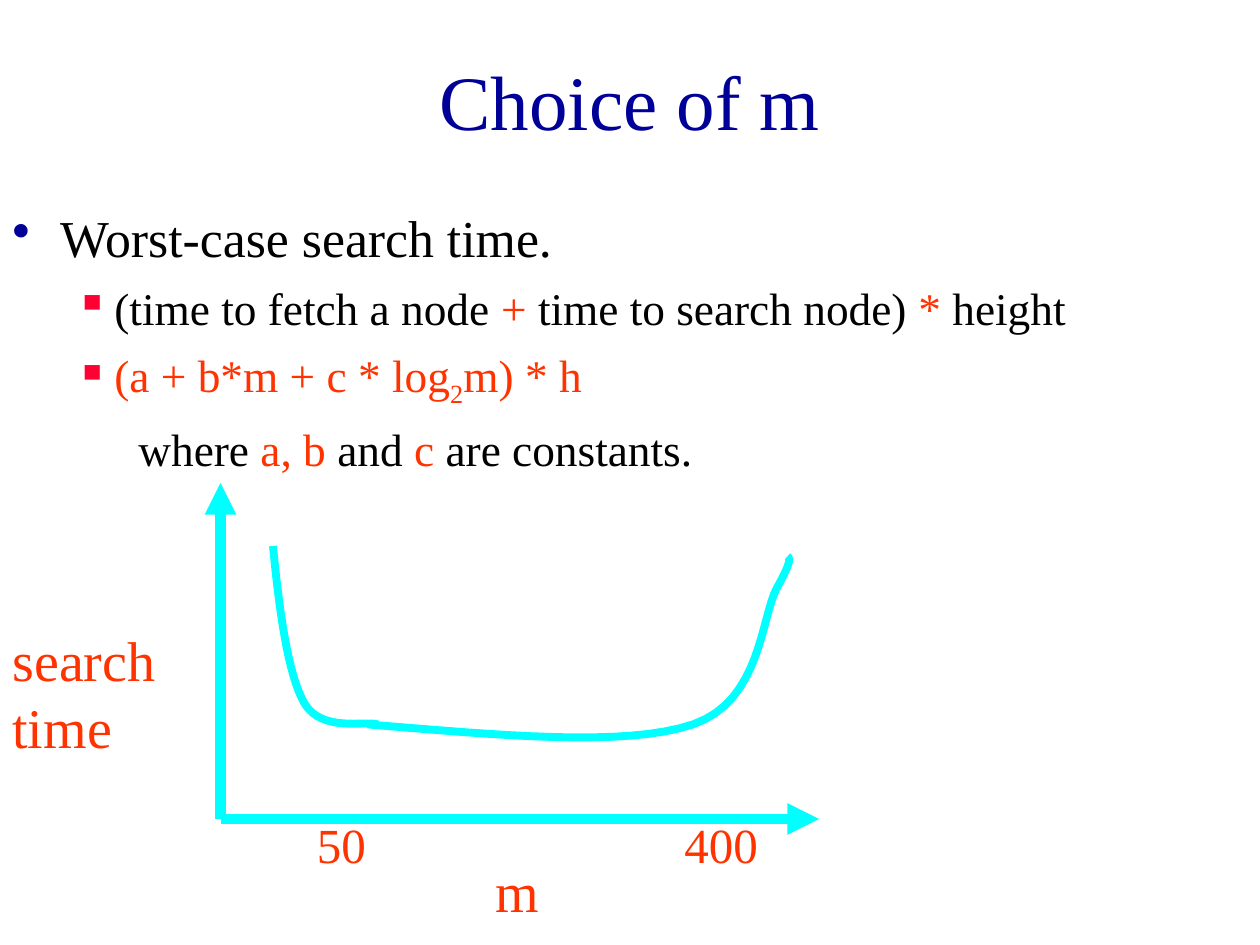
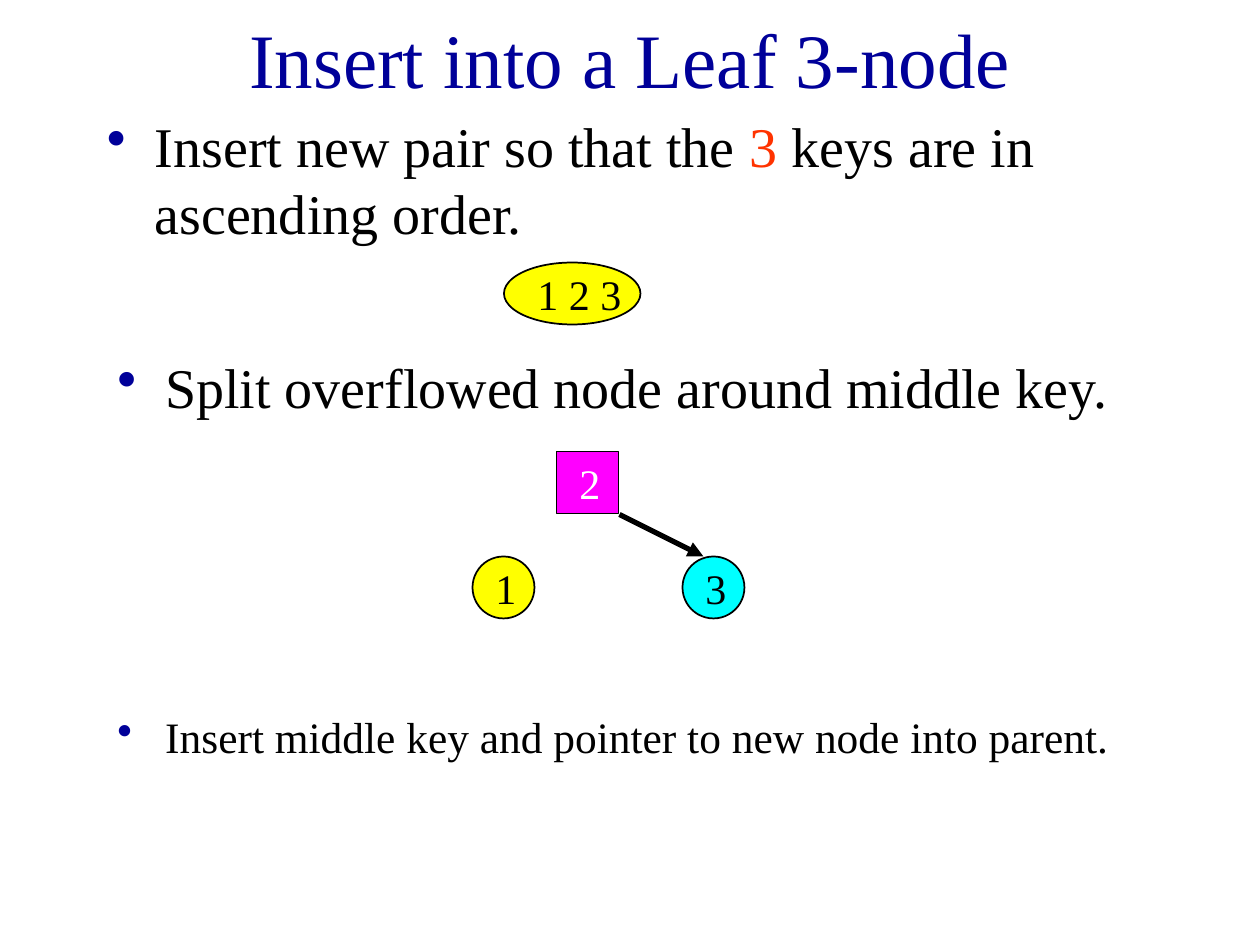
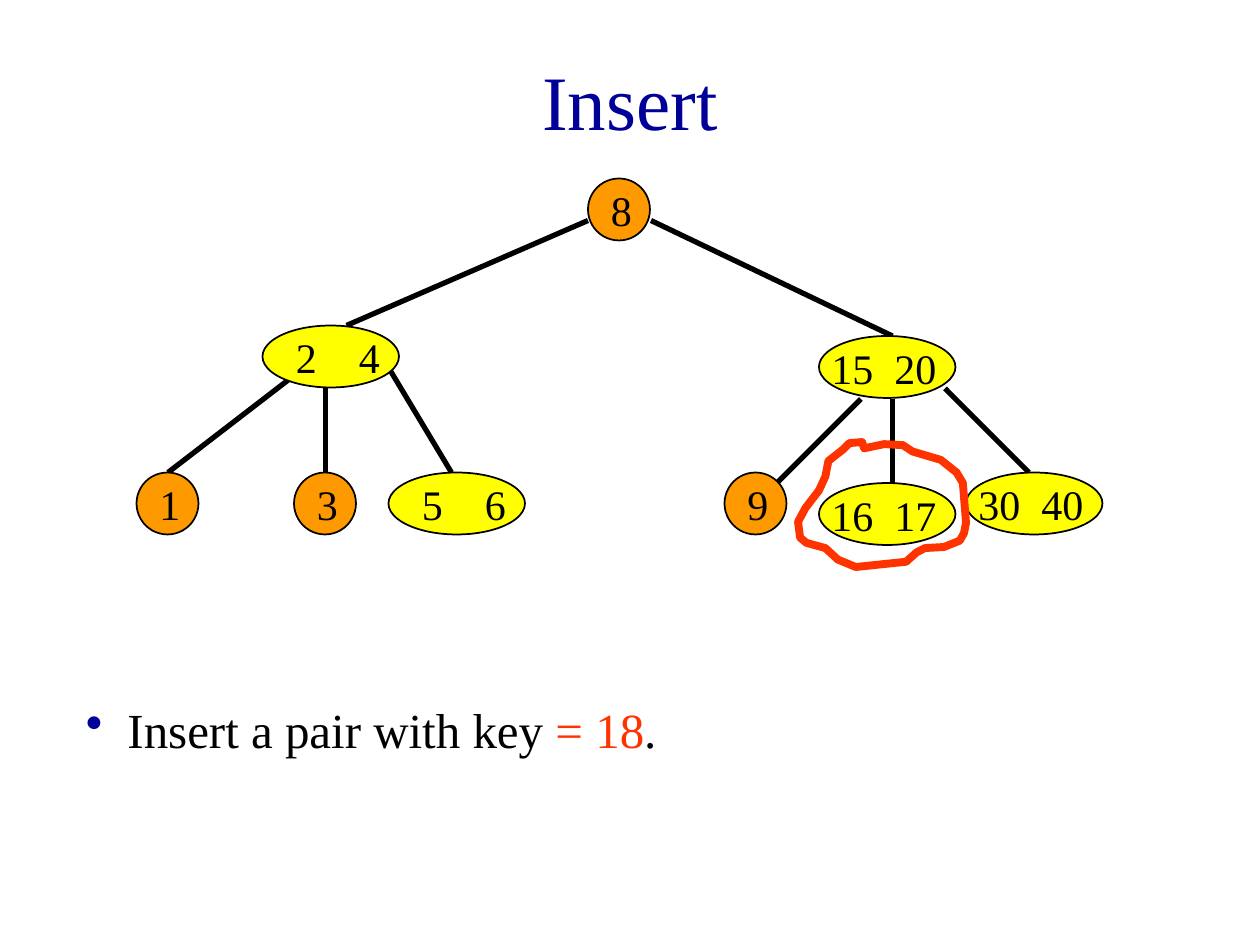
from dataclasses import dataclass

from lxml import etree
from pptx import Presentation
from pptx import util as u
from pptx.dml.color import RGBColor
from pptx.enum import shapes, text
from pptx.oxml import ns


@dataclass(frozen=True)
class Theme:
    font: str = "Times New Roman"
    title: str = "000099"
    ink: str = "000000"
    accent: str = "FF3300"
    square_bullet: str = "FF0033"
    cyan: str = "00FFFF"
    yellow: str = "FFFF00"
    orange: str = "FF9900"
    magenta: str = "FF00FF"
    white: str = "FFFFFF"
    title_size: float = 44
    large: float = 32
    medium: float = 28
    key_size: float = 24
    outline: float = 1
    edge: float = 3
    curve: float = 4.5
    axis: float = 6


THEME = Theme()

# The slide is a grid of 120 columns by 90 rows
COLUMNS, ROWS = 120, 90
CELL = u.Inches(10) // COLUMNS
NODE = 5.9
WIDE_NODE = 13


@dataclass(frozen=True)
class Box:
    left: float
    top: float
    width: float
    height: float

    def inner(self, left, top, width, height):
        return Box(self.left + left, self.top + top, width, height)

    def point(self, column, row):
        return round((self.left + column) * CELL), round((self.top + row) * CELL)

    def frame(self):
        return (*self.point(0, 0), round(self.width * CELL), round(self.height * CELL))


# Level formats: left margin, first-line offset, space before, bullet, colour
LEVELS = {
    "plain": (0, 0, 0, None, None),
    "dot": (0.38, -0.38, 8, "•", THEME.title),
    "close dot": (0.33, -0.33, 8, "•", THEME.title),
    "square": (0.81, -0.31, 7, "▪", THEME.square_bullet),
    "note": (1.25, -0.25, 7, None, None),
}
DEPTHS = {"square": 1, "note": 2}


def apply(target, values):
    for name, value in values.items():
        setattr(target, name, value)


def add_xml(parent, tag, **attributes):
    return etree.SubElement(parent, ns.qn(tag), **attributes)


def format_level(para, level, first):
    margin, offset, space, bullet, colour = LEVELS[level]
    para.level = DEPTHS.get(level, 0)
    properties = para._p.get_or_add_pPr()
    properties.set("marL", str(u.Inches(margin)))
    properties.set("indent", str(u.Inches(offset)))
    if not first:
        para.space_before = u.Pt(space)
    if bullet:
        add_xml(add_xml(properties, "a:buClr"), "a:srgbClr", val=colour)
        add_xml(properties, "a:buChar", char=bullet)
    else:
        add_xml(properties, "a:buNone")


def add_text(page, box, paragraphs, size, colour=THEME.ink,
             align=text.PP_ALIGN.LEFT, anchor=text.MSO_ANCHOR.TOP):
    """Paragraphs are (level, spans[, size]); a span is a string or (string, colour[, baseline])."""
    frame = page.shapes.add_textbox(*box.frame()).text_frame
    apply(frame, {"word_wrap": True, "vertical_anchor": anchor})
    for index, (level, spans, *own_size) in enumerate(paragraphs):
        para = frame.add_paragraph() if index else frame.paragraphs[0]
        format_level(para, level, first=index == 0)
        para.alignment = align
        for item in spans:
            words, tint, *baseline = (item, colour) if isinstance(item, str) else item
            span = para.add_run()
            span.text = words
            apply(span.font, {"name": THEME.font, "size": u.Pt(own_size[0] if own_size else size)})
            span.font.color.rgb = RGBColor.from_string(tint)
            if baseline:
                span._r.get_or_add_rPr().set("baseline", str(baseline[0]))
    return frame


def add_title(page, words, box=Box(9, 2, 102, 15)):
    add_text(page, box, [("plain", [words])], THEME.title_size, THEME.title,
             text.PP_ALIGN.CENTER, text.MSO_ANCHOR.MIDDLE)


def add_label(page, box, words, size):
    add_text(page, box, [("plain", [words])], size, THEME.accent)


def set_line(shape, colour, width):
    shape.line.color.rgb = RGBColor.from_string(colour)
    shape.line.width = u.Pt(width)


def add_line(page, box, start, end, colour=THEME.ink, width=THEME.edge, arrow=False):
    line = page.shapes.add_connector(
        shapes.MSO_CONNECTOR.STRAIGHT, *box.point(*start), *box.point(*end))
    set_line(line, colour, width)
    if arrow:
        add_xml(line.line._get_or_add_ln(), "a:tailEnd", type="triangle")
    add_xml(line._element.spPr, "a:effectLst")


def add_outline(page, box, points, colour, close=False):
    corners = [box.point(*point) for point in points]
    builder = page.shapes.build_freeform(*corners[0])
    builder.add_line_segments(corners[1:], close=close)
    outline = builder.convert_to_shape()
    outline.shadow.inherit = False
    outline.fill.background()
    set_line(outline, colour, THEME.curve)


def bezier(start, *segments, steps=16):
    """Points along joined cubic curves, each given as two controls and an end."""
    points = [start]
    for first, second, end in segments:
        for step in range(1, steps + 1):
            t = step / steps
            weights = ((1 - t) ** 3, 3 * t * (1 - t) ** 2, 3 * t * t * (1 - t), t ** 3)
            corners = (start, first, second, end)
            points.append(tuple(
                sum(weight * corner[axis] for weight, corner in zip(weights, corners))
                for axis in (0, 1)))
        start = end
    return points


def add_node(page, box, at, keys, fill, colour=THEME.ink, kind=shapes.MSO_SHAPE.OVAL):
    """Tree node; a tab in keys sets its two keys apart."""
    wide = len(keys) > 1
    node = page.shapes.add_shape(
        kind, *box.inner(*at, WIDE_NODE if wide else NODE, NODE).frame())
    node.shadow.inherit = False
    node.fill.solid()
    node.fill.fore_color.rgb = RGBColor.from_string(fill)
    set_line(node, THEME.ink, THEME.outline)

    # Key label: two-digit keys start at the node's left edge
    digits = len(keys.split("\t")[0])
    two_digits = wide and digits == 2
    shift, width = (0, 18) if two_digits else (2, 14) if wide else (1, 5)
    label = box.inner(at[0] + shift, at[1], width, 6)
    frame = add_text(page, label, [("plain", [keys])], THEME.key_size, colour)
    if "\t" in keys:
        stops = add_xml(frame.paragraphs[0]._p.get_or_add_pPr(), "a:tabLst")
        position = u.Pt(THEME.key_size * (digits / 2 + 0.75))
        add_xml(stops, "a:tab", pos=str(position), algn="l")


def add_search_graph(page, box):
    # Axes
    origin = (21, 32)
    for end in ((21, 0), (78, 32)):
        add_line(page, box, origin, end, THEME.cyan, THEME.axis, arrow=True)

    # Search time falls, stays flat and rises
    falling = bezier((26, 6), ((26.6, 12.1), (27.4, 18.2), (29, 21)),
                     ((30.7, 23.8), (34.8, 22.6), (36, 23)))
    rising = bezier((35, 23), ((47.3, 24), (59.5, 25.2), (66, 23)),
                    ((72.5, 20.8), (72.5, 12.7), (74, 10)),
                    ((75.5, 7.3), (75.2, 7.2), (75, 7)))
    for points in (falling, rising):
        add_outline(page, box, points, THEME.cyan)

    # Axis names and marks
    add_label(page, box.inner(46, 35, 21, 7.7), "m", THEME.large)
    add_label(page, box.inner(0, 13, 21, 14), "search time", THEME.large)
    for column, mark in ((29, "50"), (64, "400")):
        add_label(page, box.inner(column, 31, 21, 6.8), mark, THEME.medium)


def add_split(page, box):
    # Middle key above, the two halves below
    add_node(page, box, (0, 10), "1", THEME.yellow)
    add_node(page, box, (20, 10), "3", THEME.cyan)
    add_node(page, box, (8, 0), "2", THEME.magenta, THEME.white, shapes.MSO_SHAPE.RECTANGLE)
    add_line(page, box, (14, 6), (22, 10), arrow=True)


def add_tree(page, box):
    # Edges
    edges = [((43, 4), (20, 14)), ((49, 4), (72, 15)),
             ((16, 18), (3, 28)), ((18, 20), (18, 28)), ((24, 18), (30, 28)),
             ((69, 21), (61, 29)), ((72, 21), (72, 29)), ((77, 20), (85, 28))]
    for start, end in edges:
        add_line(page, box, start, end)

    # Nodes
    nodes = [((43, 0), "8"), ((12, 14), "2\t4"), ((65, 15), "15\t20"),
             ((0, 28), "1"), ((15, 28), "3"), ((24, 28), "5\t6"),
             ((56, 28), "9"), ((79, 28), "30\t40"), ((65, 29), "16\t17")]
    for at, keys in nodes:
        add_node(page, box, at, keys, THEME.yellow if "\t" in keys else THEME.orange)

    # Hand-drawn ring round the leaf that takes the new key
    ring = [(6.1, 0.1), (4.9, 0.2), (4.3, 0.8), (2.9, 1.9), (2.6, 3.4), (2, 4.7),
            (0.7, 6.4), (0, 7.7), (0.2, 9.2), (0.8, 9.7), (2.6, 10.2), (3.8, 11.3),
            (5.5, 12), (10.3, 11.5), (11.3, 10.6), (12.1, 10.2), (13.9, 10.1),
            (15.4, 9.5), (15.8, 8.8), (16, 7.8), (15.7, 4), (15.1, 3), (13.6, 1.8),
            (10.9, 1), (10, 0.4), (8.2, 0.3), (6.3, 0.7)]
    add_outline(page, box.inner(63, 25, 16, 12), ring, THEME.accent, close=True)


def choice_slide(page):
    add_title(page, "Choice of m")
    red = THEME.accent
    add_text(page, Box(0, 19, 113, 28), [
        ("dot", ["Worst-case search time."], 29.6),
        ("square", ["(time to fetch a node ", ("+", red), " time to search node) ",
                    ("*", red), " height"]),
        ("square", [("(a + b*m + c * log", red), ("2", red, -25000), ("m) * h", red)]),
        ("note", ["where ", ("a, b ", red), "and ", ("c ", red), "are constants."]),
    ], 25.9)
    add_search_graph(page, Box(0, 46, 85, 44))


def leaf_slide(page):
    add_title(page, "Insert into a Leaf 3-node", Box(9, 0, 102, 11))
    steps = [
        (Box(9, 10, 102, 15), THEME.large,
         ["Insert new pair so that the ", ("3 ", THEME.accent), "keys are in ascending order."]),
        (Box(10, 33, 102, 9), THEME.large, ["Split overflowed node around middle key."]),
        (Box(10, 67, 102, 9), 24.8, ["Insert middle key and pointer to new node into parent."]),
    ]
    for box, size, spans in steps:
        add_text(page, box, [("dot", spans)], size)
    add_node(page, Box(48, 25, WIDE_NODE, NODE), (0, 0), "1 2 3", THEME.yellow)
    add_split(page, Box(45, 43, 26, 16))


def insert_slide(page):
    add_title(page, "Insert")
    add_text(page, Box(7, 66, 80, 6.8), [
        ("close dot", ["Insert a pair with key ", ("= 18", THEME.accent), "."]),
    ], THEME.medium)
    add_tree(page, Box(13, 17, 92, 37))


def main():
    deck = Presentation()
    apply(deck, {"slide_width": CELL * COLUMNS, "slide_height": CELL * ROWS})
    for build in (choice_slide, leaf_slide, insert_slide):
        build(deck.slides.add_slide(deck.slide_layouts[6]))
    deck.save("out.pptx")


if __name__ == "__main__":
    main()
